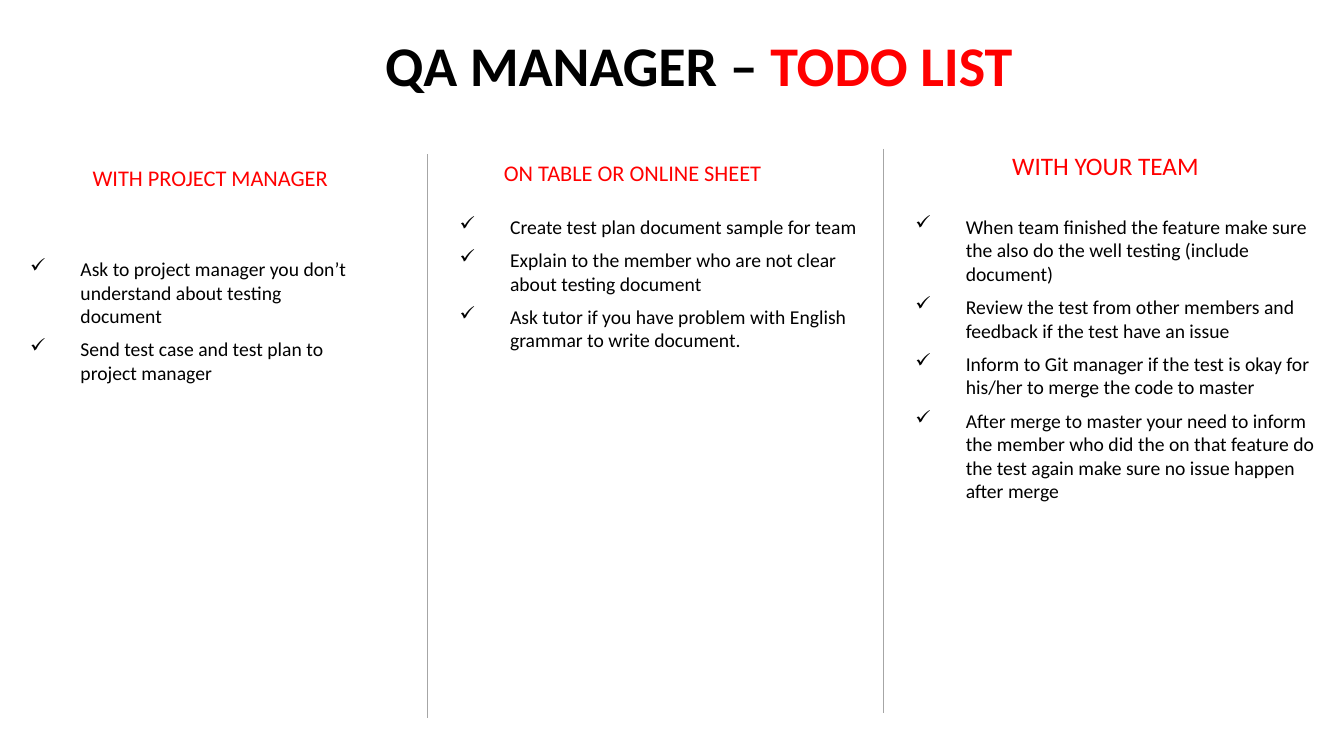
from lxml import etree
from pptx import Presentation
from pptx.dml.color import RGBColor
from pptx.enum.shapes import MSO_CONNECTOR
from pptx.enum.text import MSO_AUTO_SIZE
from pptx.oxml.ns import qn
from pptx.util import Inches, Pt

LINE = MSO_CONNECTOR.STRAIGHT
GROW = MSO_AUTO_SIZE.SHAPE_TO_FIT_TEXT
BLACK, RED, GRAY = "000000", "FF0000", "A6A6A6"

deck = Presentation()
deck.slide_width = Inches(13.33)
deck.slide_height = Inches(7.5)
COL = deck.slide_width / 100
ROW = deck.slide_height / 100
slide = deck.slides.add_slide(deck.slide_layouts[6])


def paint(code):
    return RGBColor.from_string(code)


def write(area, paras, size=14, bold=False, wrap=False, tick=None):
    x, y, w, h = area
    box = slide.shapes.add_textbox(
        round(x * COL), round(y * ROW), round(w * COL), round(h * ROW))
    frame = box.text_frame
    frame.word_wrap = wrap
    frame.auto_size = GROW
    for i, parts in enumerate(paras):
        para = frame.paragraphs[0] if i == 0 else frame.add_paragraph()
        if tick:
            props = para._p.get_or_add_pPr()
            props.set("marL", str(Inches(0.5)))
            props.set("indent", str(Inches(-0.5)))
            etree.SubElement(props, qn("a:buChar")).set("char", tick)
            if i > 0:
                para.space_before = Pt(7)
        for words, color in parts:
            run = para.add_run()
            run.text = words
            run.font.name = "Calibri"
            run.font.size = Pt(size)
            run.font.bold = bold
            run.font.color.rgb = paint(color)


write((27.91, 3.33, 48.69, 10.27),
      [[("QA MANAGER – ", BLACK), ("TODO LIST", RED)]], size=40, bold=True)

for x, y in [(31.8, 20.4), (65.7, 19.7)]:
    rule = slide.shapes.add_connector(
        LINE, round(x * COL), round(y * ROW),
        round(x * COL), round((y + 74.6) * ROW))
    rule.line.color.rgb = paint(GRAY)
    rule.line.width = Pt(0.5)
    etree.SubElement(rule._element.spPr, qn("a:effectLst"))

groups = [
    ("WITH PROJECT MANAGER", 16, (6.15, 21.07, 19.65, 4.93),
     (1.5, 33.33, 25.36, 23.33), [
        "Ask to project manager you don’t understand about testing document",
        "Send test case and test plan to project manager"]),
    ("ON TABLE OR ONLINE SHEET", 16, (36.76, 20.4, 21.76, 4.93),
     (33.46, 27.73, 31.5, 20.13), [
        "Create test plan document sample for team",
        "Explain to the member who are not clear about testing document",
        "Ask tutor if you have problem with English grammar to write document."]),
    ("WITH YOUR TEAM", 18, (74.57, 19.2, 15.75, 5.33),
     (67.37, 27.73, 31.5, 40.67), [
        "When team finished the feature make sure the also do the well testing (include document)",
        "Review the test from other members and feedback if the test have an issue",
        "Inform to Git manager if the test is okay for his/her to merge the code to master",
        "After merge to master your need to inform the member who did the on that feature do "
        "the test again make sure no issue happen after merge"]),
]
for head, size, top, body, tasks in groups:
    write(top, [[(head, RED)]], size=size)
    write(body, [[(task, BLACK)] for task in tasks], wrap=True, tick="✓")

deck.save("out.pptx")
